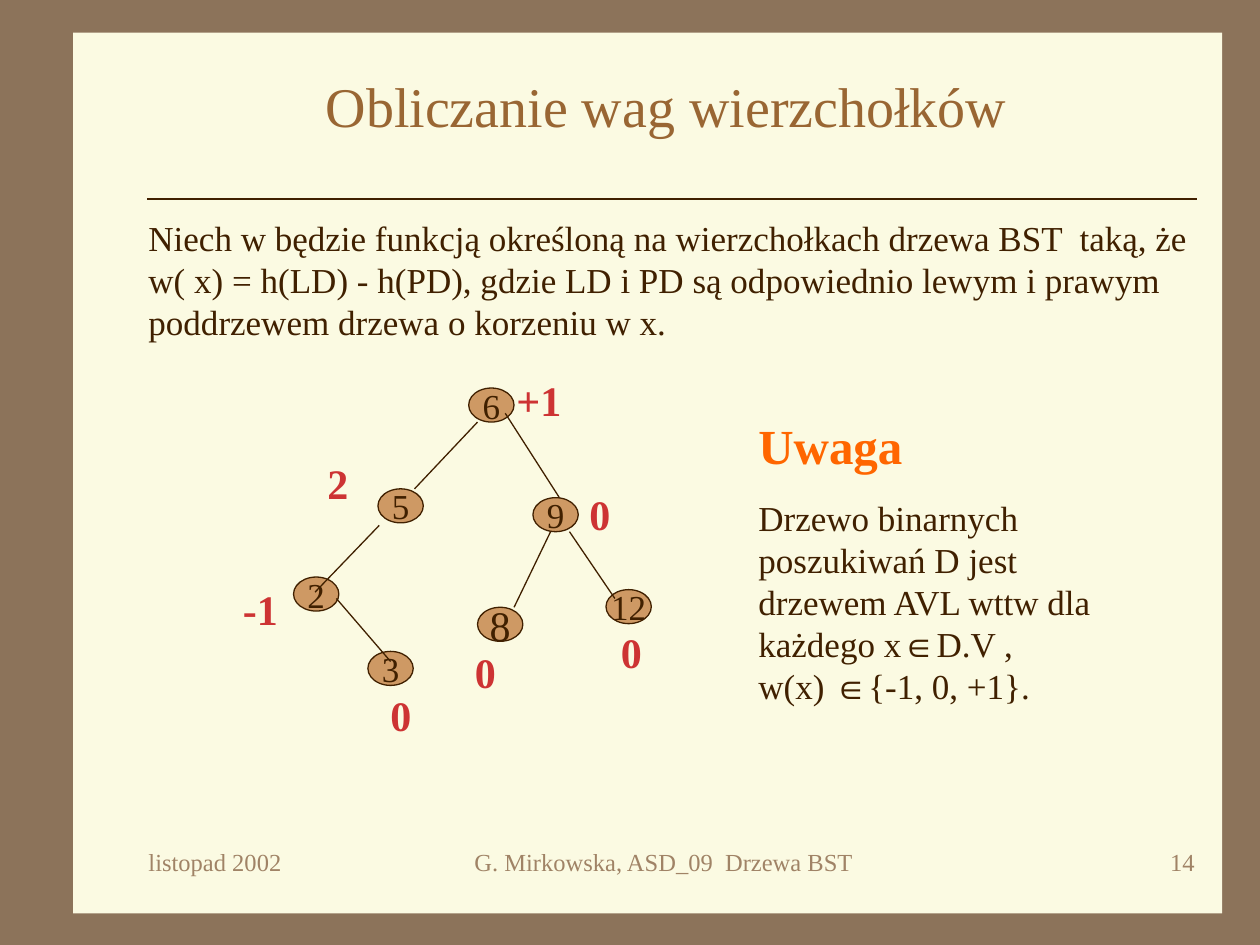
"""Build a slide on computing the vertex weights of a binary search tree."""
from lxml import etree
from pptx import Presentation
from pptx import util as u
from pptx.dml.color import RGBColor
from pptx.enum import shapes, text
from pptx.oxml.ns import qn

COLORS = {
    "border": "8C735A", "page": "FBFAE2", "ink": "402000", "title": "996633",
    "node": "CE9964", "weight": "CD3333", "note": "FF6600", "footer": "A08366",
}
LEFT, CENTER, RIGHT = text.PP_ALIGN.LEFT, text.PP_ALIGN.CENTER, text.PP_ALIGN.RIGHT
SERIF = "Times New Roman"


def write(para, wording, size=20, color="ink", bold=False, align=LEFT, font=SERIF):
    para.alignment = align
    span = para.add_run()
    span.text = wording
    span.font.size = u.Pt(size)
    span.font.bold = bold
    span.font.name = font
    span.font.color.rgb = RGBColor.from_string(COLORS[color])


def draw_line(page, x1, y1, x2, y2):
    line = page.shapes.add_connector(
        shapes.MSO_CONNECTOR.STRAIGHT,
        u.Inches(x1), u.Inches(y1), u.Inches(x2), u.Inches(y2))
    line.line.width = u.Pt(0.75)
    line.line.color.rgb = RGBColor.from_string(COLORS["ink"])
    etree.SubElement(line.element.spPr, qn("a:effectLst"))
    return line


deck = Presentation()
deck.slide_width, deck.slide_height = u.Inches(10), u.Inches(7.5)
page = deck.slides.add_slide(deck.slide_layouts[5])
page.background.fill.solid()
page.background.fill.fore_color.rgb = RGBColor.from_string(COLORS["border"])

sheet = page.shapes.add_shape(
    shapes.MSO_SHAPE.RECTANGLE,
    u.Inches(0.58), u.Inches(0.26), u.Inches(9.12), u.Inches(6.99))
sheet.shadow.inherit = False
sheet.fill.solid()
sheet.fill.fore_color.rgb = RGBColor.from_string(COLORS["page"])
sheet.line.fill.background()
rule = draw_line(page, 1.17, 1.58, 9.5, 1.58)

title = page.shapes.title
rule.element.addnext(title.element)
title.left, title.top = u.Inches(1.08), u.Inches(0.5)
title.width, title.height = u.Inches(8.42), u.Inches(0.67)
title.text_frame.vertical_anchor = text.MSO_ANCHOR.MIDDLE
title.text_frame.auto_size = text.MSO_AUTO_SIZE.NONE
write(title.text_frame.paragraphs[0], "Obliczanie wag wierzchołków",
      size=32, color="title", align=CENTER)

nodes = [
    ("6", 3.72, 3.08, 20), ("5", 3, 3.88, 20), ("9", 4.23, 3.95, 20),
    ("12", 4.81, 4.68, 20), ("8", 3.79, 4.82, 24), ("2", 2.33, 4.58, 20),
    ("3", 2.92, 5.17, 20),
]
for key, left, top, size in nodes:
    node = page.shapes.add_shape(
        shapes.MSO_SHAPE.OVAL,
        u.Inches(left), u.Inches(top), u.Inches(0.36), u.Inches(0.27))
    node.shadow.inherit = False
    node.fill.solid()
    node.fill.fore_color.rgb = RGBColor.from_string(COLORS["node"])
    node.line.width = u.Pt(0.75)
    node.line.color.rgb = RGBColor.from_string(COLORS["ink"])
    node.text_frame.word_wrap = False
    node.text_frame.vertical_anchor = text.MSO_ANCHOR.MIDDLE
    write(node.text_frame.paragraphs[0], key, size=size, align=CENTER)

edges = [
    (3.79, 3.35, 3.29, 3.88), (4.01, 3.28, 4.44, 3.95), (4.52, 4.22, 4.88, 4.75),
    (4.37, 4.22, 4.08, 4.82), (3.01, 4.17, 2.5, 4.7), (2.67, 4.75, 3.1, 5.25),
]
for edge in edges:
    draw_line(page, *edge)

weight = {"size": 24, "color": "weight", "bold": True}
footer = {"size": 14, "color": "footer"}
labels = [
    ("Niech w będzie funkcją określoną na wierzchołkach drzewa BST  taką, że "
     "w( x) = h(LD) - h(PD), gdzie LD i PD są odpowiednio lewym i prawym "
     "poddrzewem drzewa o korzeniu w x.", 1.08, 1.67, 8.5, 1.1, {}),
    ("0", 3, 5.42, 0.42, 0.5, weight),
    ("0", 3.67, 5.08, 0.42, 0.5, weight),
    ("0", 4.83, 4.92, 0.42, 0.5, weight),
    ("0", 4.58, 3.83, 0.42, 0.5, weight),
    ("2", 2.5, 3.58, 0.58, 0.5, weight),
    ("-1", 1.83, 4.58, 0.67, 0.5, weight),
    ("+1", 4, 2.92, 0.58, 0.5, weight),
    ("Uwaga", 5.92, 3.25, 3.25, 2.41, {"size": 28, "color": "note", "bold": True}),
    ("G. Mirkowska, ASD_09  Drzewa BST ", 3.08, 6.67, 4.42, 0.5,
     {**footer, "align": CENTER}),
    ("14", 7.5, 6.67, 2.08, 0.5, {**footer, "align": RIGHT}),
    ("listopad 2002", 1.08, 6.67, 2.08, 0.5, footer),
]
boxes = {}
for wording, left, top, width, height, style in labels:
    box = page.shapes.add_textbox(
        u.Inches(left), u.Inches(top), u.Inches(width), u.Inches(height))
    box.text_frame.word_wrap = True
    write(box.text_frame.paragraphs[0], wording, **style)
    boxes[wording] = box

condition = boxes["Uwaga"].text_frame.add_paragraph()
condition.space_before = u.Pt(12.5)
write(condition, "Drzewo binarnych poszukiwań D jest drzewem AVL wttw dla każdego x")
write(condition, "∈", font="Arial")
write(condition, "D.V ,")
condition.add_line_break()
write(condition, "w(x) ")
write(condition, "∈", font="Arial")
write(condition, "{-1, 0, +1}.")

deck.save("out.pptx")
